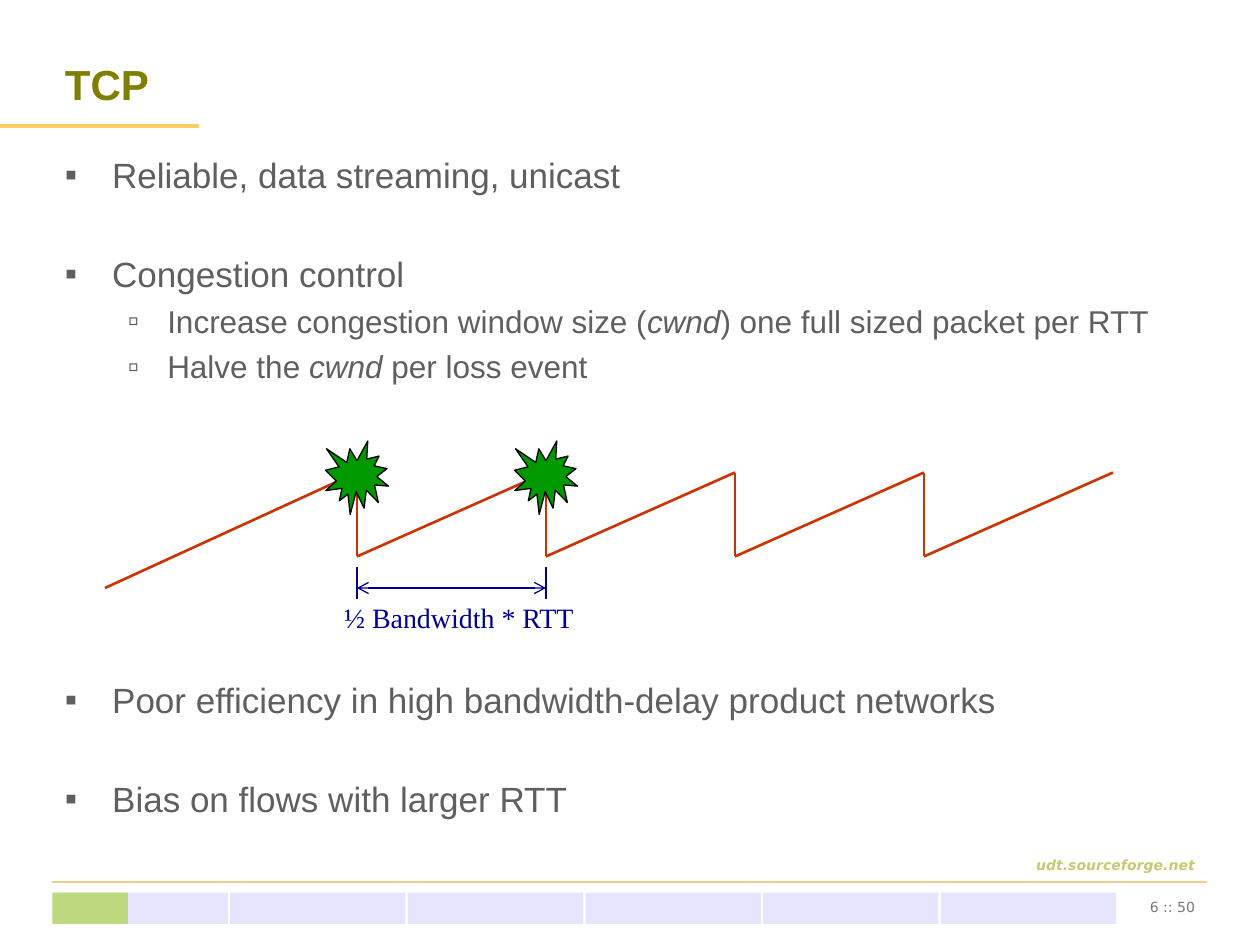
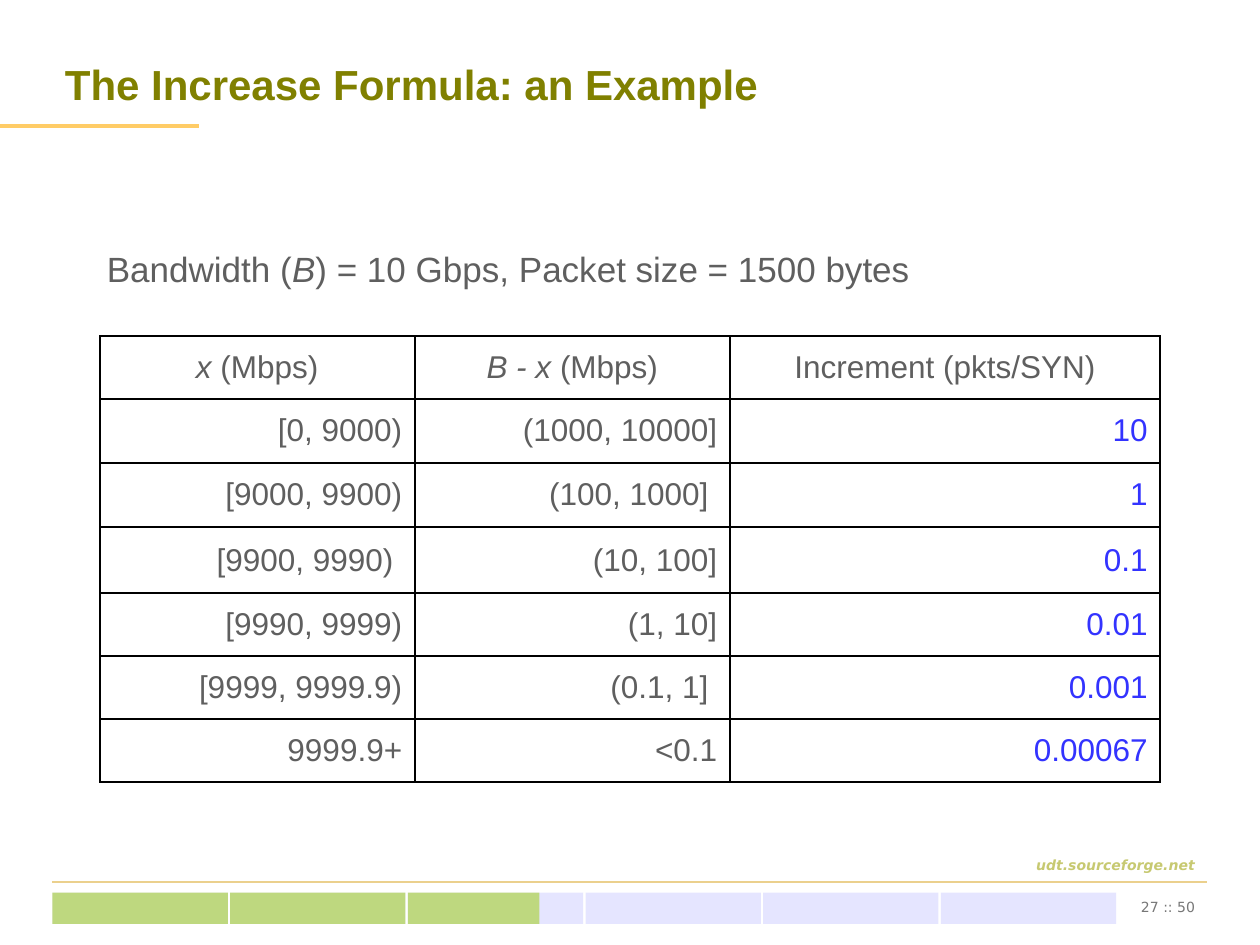
from itertools import pairwise

from lxml import etree
from pptx import Presentation
from pptx import util as u
from pptx.dml.color import RGBColor
from pptx.enum import shapes, text
from pptx.oxml.ns import qn

COLUMNS, ROWS = 120, 90  # square grid cells, twelve to the inch
CELL = u.Inches(10) // COLUMNS
MARGIN, CONTENT_WIDTH = 5, 110
SEGMENTS, SEGMENT_WIDTH, SEGMENT_PITCH = 6, 16.7, 16.92
BAR_TOP, BAR_HEIGHT = 85, 3
SLIDE_TOTAL = 50

GREY, BLACK, NAVY, BLUE = "5F5F5F", "000000", "000099", "3333FF"
RED, GREEN, LAVENDER, LIME = "CC3300", "009900", "CCCCFF", "99CC00"
AMBER, SAND = "FFCC66", "EBD08D"

FORMATS = {
    "title": ({"name": "Arial", "size": u.Pt(24), "bold": True}, "808000"),
    "body": ({"name": "Arial", "size": u.Pt(20)}, GREY),
    "detail": ({"name": "Arial", "size": u.Pt(18)}, GREY),
    "result": ({"name": "Arial", "size": u.Pt(18)}, BLUE),
    "caption": ({"name": "Times New Roman", "size": u.Pt(16)}, NAVY),
    "site": ({"name": "DejaVu Sans", "size": u.Pt(8), "bold": True, "italic": True}, "C7C971"),
    "page": ({"name": "DejaVu Sans", "size": u.Pt(8)}, "777777"),
}
# bullet sign, text indent and hanging indent in grid cells
BULLETS = {"body": ("▪", 4.5, -4.5), "detail": ("▫", 9.75, -3.75)}
LINE_GAP, TOPIC_GAP = 4.4, 32.5

INCREMENTS = [
    ("_x_ (Mbps)", "_B - x_ (Mbps)", "Increment (pkts/SYN)"),
    ("[0, 9000)", "(1000, 10000]", "10"),
    ("[9000, 9900)", "(100, 1000] ", "1"),
    ("[9900, 9990) ", "(10, 100]", "0.1"),
    ("[9990, 9999)", "(1, 10]", "0.01"),
    ("[9999, 9999.9)", "(0.1, 1] ", "0.001"),
    ("9999.9+", "<0.1", "0.00067"),
]


def grid(*cells):
    return [round(cell * CELL) for cell in cells]


def rgb(color):
    return RGBColor.from_string(color)


def add_xml(parent, tag, **attributes):
    return etree.SubElement(parent, qn(tag), attributes)


def write(paragraph, wording, style, align=text.PP_ALIGN.LEFT):
    """Fill a paragraph; parts between underscores become italic."""
    attributes, color = FORMATS[style]
    paragraph.alignment = align
    for index, part in enumerate(wording.split("_")):
        if not part:
            continue
        run = paragraph.add_run()
        run.text = part
        for name, value in attributes.items():
            setattr(run.font, name, value)
        if index % 2:
            run.font.italic = True
        run.font.color.rgb = rgb(color)


def add_text(slide, box, wording, style, align=text.PP_ALIGN.LEFT,
             anchor=text.MSO_ANCHOR.TOP, wrap=True):
    frame = slide.shapes.add_textbox(*grid(*box)).text_frame
    frame.word_wrap = wrap
    frame.vertical_anchor = anchor
    write(frame.paragraphs[0], wording, style, align)


def add_bullets(slide, box, items):
    """Items are (style, wording); a later body item opens a new topic."""
    frame = slide.shapes.add_textbox(*grid(*box)).text_frame
    frame.word_wrap = True
    for index, (style, wording) in enumerate(items):
        paragraph = frame.add_paragraph() if index else frame.paragraphs[0]
        if index:
            paragraph.space_before = u.Pt(TOPIC_GAP if style == "body" else LINE_GAP)
        sign, left, hanging = BULLETS[style]
        left, hanging = grid(left, hanging)
        properties = paragraph._p.get_or_add_pPr()
        properties.set("marL", str(left))
        properties.set("indent", str(hanging))
        add_xml(properties, "a:buFont", typeface="Arial")
        add_xml(properties, "a:buChar", char=sign)
        write(paragraph, wording, style)


def add_line(slide, start, end, color, width, arrows=False):
    line = slide.shapes.add_connector(
        shapes.MSO_CONNECTOR.STRAIGHT, *grid(*start, *end))
    line.line.color.rgb = rgb(color)
    line.line.width = u.Pt(width)
    if arrows:
        for end_tag in ("a:headEnd", "a:tailEnd"):
            add_xml(line.line._get_or_add_ln(), end_tag, type="arrow")
    add_xml(line._element.spPr, "a:effectLst")


def add_filled(slide, kind, box, color, outline=None, alpha=None):
    shape = slide.shapes.add_shape(kind, *grid(*box))
    shape.shadow.inherit = False
    shape.fill.solid()
    shape.fill.fore_color.rgb = rgb(color)
    if alpha:
        tint = shape._element.spPr.find(qn("a:solidFill"))[0]
        add_xml(tint, "a:alpha", val=str(alpha * 1000))
    if outline:
        shape.line.color.rgb = rgb(outline)
        shape.line.width = u.Pt(0.75)
    else:
        shape.line.fill.background()


def add_bar(slide, filled, color):
    """Draw the given number of bar segments, the last one possibly in part."""
    for index in range(SEGMENTS):
        share = min(1, filled - index)
        if share > 0:
            box = (MARGIN + index * SEGMENT_PITCH, BAR_TOP,
                   SEGMENT_WIDTH * share, BAR_HEIGHT)
            add_filled(slide, shapes.MSO_SHAPE.RECTANGLE, box, color, alpha=50)


def add_base_slide(presentation, title, number, progress):
    slide = presentation.slides.add_slide(presentation.slide_layouts[6])
    right = text.PP_ALIGN.RIGHT
    add_line(slide, (0, 12), (19, 12), AMBER, 2.25)
    add_line(slide, (MARGIN, 84), (COLUMNS - MARGIN, 84), SAND, 1)
    add_text(slide, (MARGIN, 81, CONTENT_WIDTH, 3), "udt.sourceforge.net", "site", right)
    add_bar(slide, SEGMENTS, LAVENDER)
    add_bar(slide, progress, LIME)
    add_text(slide, (106.2, BAR_TOP, 8.8, BAR_HEIGHT),
             f"{number} :: {SLIDE_TOTAL}", "page", right)
    add_text(slide, (MARGIN, 3, CONTENT_WIDTH, 10), title, "title",
             anchor=text.MSO_ANCHOR.MIDDLE)
    return slide


def add_sawtooth(slide):
    """Draw the window size over time, with a burst at the first two losses."""
    peak, trough = 45, 53
    losses = range(34, 89, 18)
    points = [(10, 56)]
    for column in losses:
        points += [(column, peak), (column, trough)]
    points.append((106, peak))
    for start, end in pairwise(points):
        add_line(slide, start, end, RED, 1.5)
    for column in losses[:2]:
        add_filled(slide, shapes.MSO_SHAPE.EXPLOSION1, (column - 3, 42, 6, 7), GREEN, BLACK)
        add_line(slide, (column, 54), (column, 57), NAVY, 0.75)
    add_line(slide, (losses[0], 56), (losses[1], 56), NAVY, 0.75, arrows=True)
    add_text(slide, (31.6, 56.6, 24.5, 4.4), "½ Bandwidth * RTT", "caption", wrap=False)


def add_borders(cell):
    properties = cell._tc.get_or_add_tcPr()
    for position, side in enumerate(("a:lnL", "a:lnR", "a:lnT", "a:lnB")):
        border = etree.Element(qn(side), w=str(u.Pt(1)))
        add_xml(add_xml(border, "a:solidFill"), "a:srgbClr", val=BLACK)
        properties.insert(position, border)


def add_table(slide, left, top, widths, heights, rows):
    box = grid(left, top, sum(widths), sum(heights))
    table = slide.shapes.add_table(len(rows), len(widths), *box).table
    table.first_row = table.horz_banding = False
    for column, width in zip(table.columns, grid(*widths)):
        column.width = width
    for row, height in zip(table.rows, grid(*heights)):
        row.height = height
    for row_index, row in enumerate(rows):
        for column_index, wording in enumerate(row):
            cell = table.cell(row_index, column_index)
            cell.fill.background()
            cell.vertical_anchor = text.MSO_ANCHOR.MIDDLE
            add_borders(cell)
            is_result = row_index and column_index == len(row) - 1
            write(cell.text_frame.paragraphs[0], wording,
                  "result" if is_result else "detail",
                  text.PP_ALIGN.RIGHT if row_index else text.PP_ALIGN.CENTER)


def add_tcp_slide(presentation):
    slide = add_base_slide(presentation, "TCP", 6, 0.43)
    add_bullets(slide, (MARGIN, 14, CONTENT_WIDTH, 25), [
        ("body", "Reliable, data streaming, unicast"),
        ("body", "Congestion control"),
        ("detail", "Increase congestion window size (_cwnd_) one full sized packet per RTT"),
        ("detail", "Halve the _cwnd_ per loss event"),
    ])
    add_sawtooth(slide)
    add_bullets(slide, (MARGIN, 64, CONTENT_WIDTH, 16), [
        ("body", "Poor efficiency in high bandwidth-delay product networks"),
        ("body", "Bias on flows with larger RTT"),
    ])


def add_increase_slide(presentation):
    slide = add_base_slide(presentation, "The Increase Formula: an Example", 27, 2.75)
    add_text(slide, (9, 23, 102, 5.2),
             "Bandwidth (_B_) = 10 Gbps, Packet size = 1500 bytes", "body")
    add_table(slide, 9.5, 32, (30, 30, 41), (6, 6.1, 6.1, 6.3, 6, 6, 6), INCREMENTS)


def main():
    presentation = Presentation()
    presentation.slide_width, presentation.slide_height = grid(COLUMNS, ROWS)
    add_tcp_slide(presentation)
    add_increase_slide(presentation)
    presentation.save("out.pptx")


if __name__ == "__main__":
    main()
